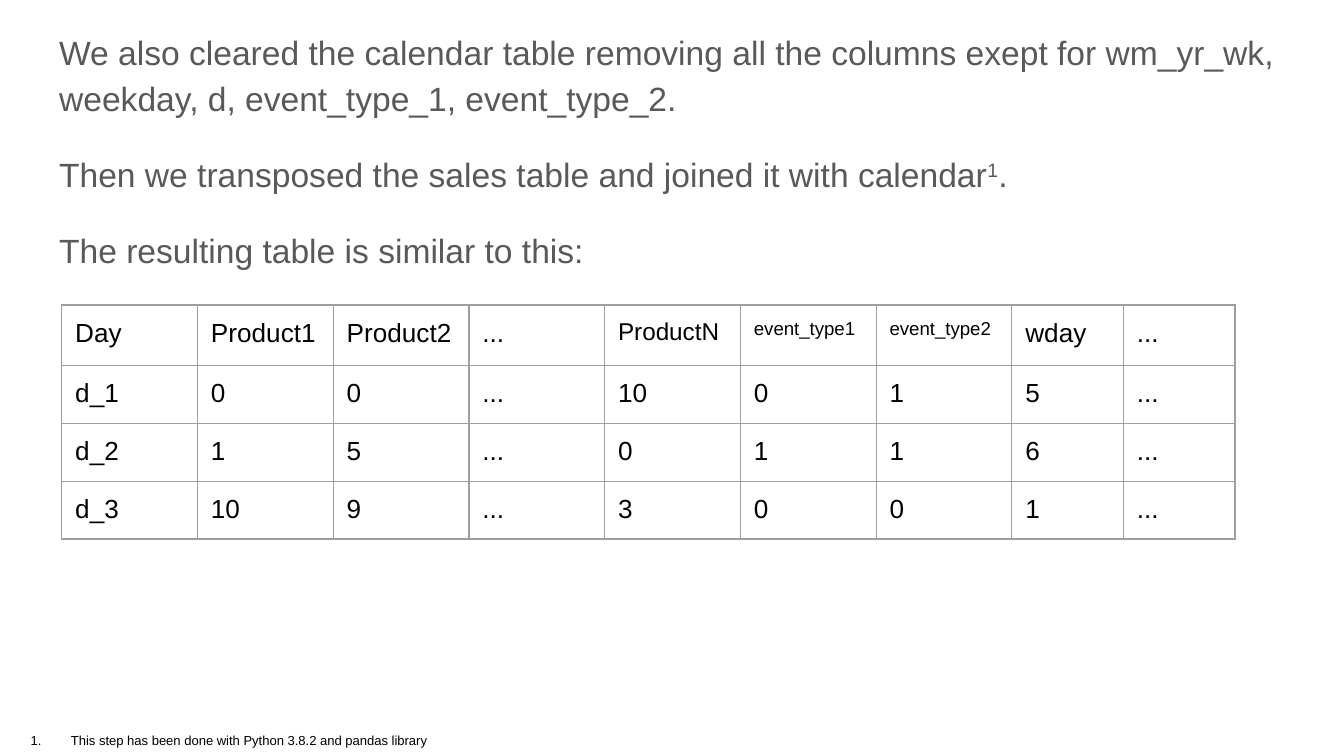
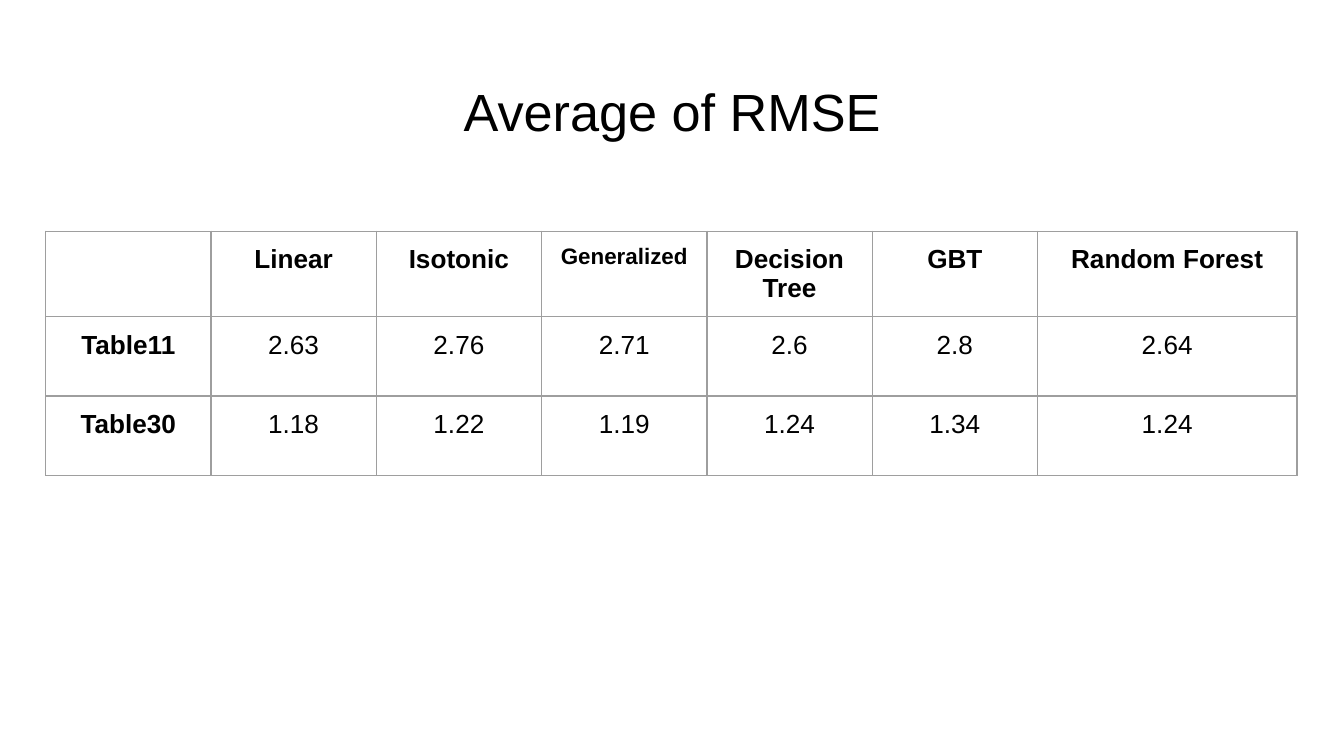
from lxml.etree import SubElement
from pptx import Presentation
from pptx.dml.color import RGBColor
from pptx.enum.text import MSO_ANCHOR, MSO_AUTO_SIZE, PP_ALIGN
from pptx.oxml.ns import qn
from pptx.util import Inches, Pt

FONT = "Arial"
BLACK, GREY, RULE = "000000", "595959", "9E9E9E"
MARGIN = Inches(0.1)
BODY_LAYOUT, TITLE_LAYOUT = 1, 5


def color(value):
    """Turn a hex string into a colour."""
    return RGBColor.from_string(value)


def add_span(para, text, size, ink=BLACK, bold=False):
    """Add one formatted run to a paragraph."""
    span = para.add_run()
    span.text = text
    span.font.name = FONT
    span.font.size = Pt(size)
    span.font.bold = bold
    span.font.color.rgb = color(ink)
    return span


def place(shape, box):
    """Move a shape to a box given in inches."""
    shape.left, shape.top, shape.width, shape.height = map(Inches, box)


def prepare_frame(frame):
    """Give a text frame the shared margins, wrapping and anchor."""
    frame.margin_left = frame.margin_right = MARGIN
    frame.margin_top = frame.margin_bottom = MARGIN
    frame.word_wrap = True
    frame.auto_size = MSO_AUTO_SIZE.NONE
    frame.vertical_anchor = MSO_ANCHOR.TOP
    return frame


def set_indent(para, left, first):
    """Set the left margin and first-line indent, in inches."""
    props = para._p.get_or_add_pPr()
    props.set("marL", str(Inches(left)))
    props.set("indent", str(Inches(first)))
    return props


def add_title(page, box, text):
    """Fill the title placeholder with centred text."""
    place(page.shapes.title, box)
    para = prepare_frame(page.shapes.title.text_frame).paragraphs[0]
    para.alignment = PP_ALIGN.CENTER
    add_span(para, text, 28)


def add_body(page, box, paragraphs):
    """Fill the body placeholder; each paragraph is (text, baseline) spans."""
    body = page.placeholders[1]
    place(body, box)
    frame = prepare_frame(body.text_frame)
    for index, spans in enumerate(paragraphs):
        para = frame.add_paragraph() if index else frame.paragraphs[0]
        para.line_spacing = 1.15
        para.space_before = Pt(16 if index else 0)
        para.space_after = Pt(16 if index == len(paragraphs) - 1 else 0)
        SubElement(set_indent(para, 0, 0), qn("a:buNone"))
        for text, baseline in spans:
            span = add_span(para, text, 18, GREY)
            if baseline:
                span._r.get_or_add_rPr().set("baseline", str(baseline * 1000))


def add_footnote(page, box, text):
    """Add a small numbered note."""
    note = page.shapes.add_textbox(*map(Inches, box))
    para = prepare_frame(note.text_frame).paragraphs[0]
    props = set_indent(para, 0.5, -0.3)
    ink = SubElement(props, qn("a:buClr"))
    SubElement(ink, qn("a:srgbClr"), val=BLACK)
    SubElement(props, qn("a:buFont"), typeface=FONT)
    SubElement(props, qn("a:buAutoNum"), type="arabicPeriod")
    add_span(para, text, 7)


def draw_borders(cell):
    """Rule all four sides of a cell."""
    props = cell._tc.get_or_add_tcPr()
    for side in ("lnL", "lnR", "lnT", "lnB"):
        line = SubElement(props, qn(f"a:{side}"), w=str(Pt(0.75)))
        fill = SubElement(line, qn("a:solidFill"))
        SubElement(fill, qn("a:srgbClr"), val=RULE)


def add_grid(page, corner, widths, heights, rows, sizes, align, bold_heads=False):
    """Add a ruled table; sizes holds the header texts that are not 14 pt."""
    box = (*corner, sum(widths), sum(heights))
    table = page.shapes.add_table(len(rows), len(widths), *map(Inches, box)).table
    table.first_row = table.horz_banding = False
    for column, width in zip(table.columns, widths):
        column.width = Inches(width)
    for row, height in zip(table.rows, heights):
        row.height = Inches(height)
    for r, texts in enumerate(rows):
        for c, text in enumerate(texts):
            cell = table.cell(r, c)
            cell.margin_left = cell.margin_right = MARGIN
            cell.margin_top = cell.margin_bottom = MARGIN
            draw_borders(cell)
            cell.fill.background()
            if text:
                para = cell.text_frame.paragraphs[0]
                para.alignment = align
                bold = bold_heads and (r == 0 or c == 0)
                add_span(para, text, sizes.get(text, 14), bold=bold)


def build_calendar_page(deck):
    """Build the slide on the joined sales and calendar table."""
    page = deck.slides.add_slide(deck.slide_layouts[BODY_LAYOUT])
    title = page.shapes.title._element
    title.getparent().remove(title)
    add_body(page, (0.34, 0.09, 9.32, 3.74), [
        [("We also cleared the calendar table removing all the columns exept for "
          "wm_yr_wk, weekday, d, event_type_1, event_type_2. ", 0)],
        [("Then we transposed the sales table and joined it with calendar", 0),
         ("1", 30), (".", 0)],
        [("The resulting table is similar to this:", 0)],
    ])
    add_footnote(page, (-0.07, 5.35, 4.66, 0.54),
                 "This step has been done with Python 3.8.2 and pandas library")
    rows = [
        ["Day", "Product1", "Product2", "...", "ProductN",
         "event_type1", "event_type2", "wday", "..."],
        ["d_1", "0", "0", "...", "10", "0", "1", "5", "..."],
        ["d_2", "1", "5", "...", "0", "1", "1", "6", "..."],
        ["d_3", "10", "9", "...", "3", "0", "0", "1", "..."],
    ]
    add_grid(page, (0.46, 2.27), [1.01] * 7 + [0.83] * 2, [0.45] + [0.43] * 3, rows,
             {"ProductN": 13, "event_type1": 10, "event_type2": 10}, PP_ALIGN.LEFT)


def build_rmse_page(deck):
    """Build the slide that compares the average errors."""
    page = deck.slides.add_slide(deck.slide_layouts[TITLE_LAYOUT])
    add_title(page, (0.34, 0.49, 9.32, 0.63), "Average of RMSE")
    rows = [
        ["", "Linear", "Isotonic", "Generalized", "Decision Tree", "GBT",
         "Random Forest"],
        ["Table11", "2.63", "2.76", "2.71", "2.6", "2.8", "2.64"],
        ["Table30", "1.18", "1.22", "1.19", "1.24", "1.34", "1.24"],
    ]
    add_grid(page, (0.34, 1.72), [1.23] * 6 + [1.93], [0.59] * 3, rows,
             {"Generalized": 12}, PP_ALIGN.CENTER, bold_heads=True)


deck = Presentation()
deck.slide_width = Inches(10)
deck.slide_height = Inches(10 * 9 / 16)
build_calendar_page(deck)
build_rmse_page(deck)
deck.save("out.pptx")
